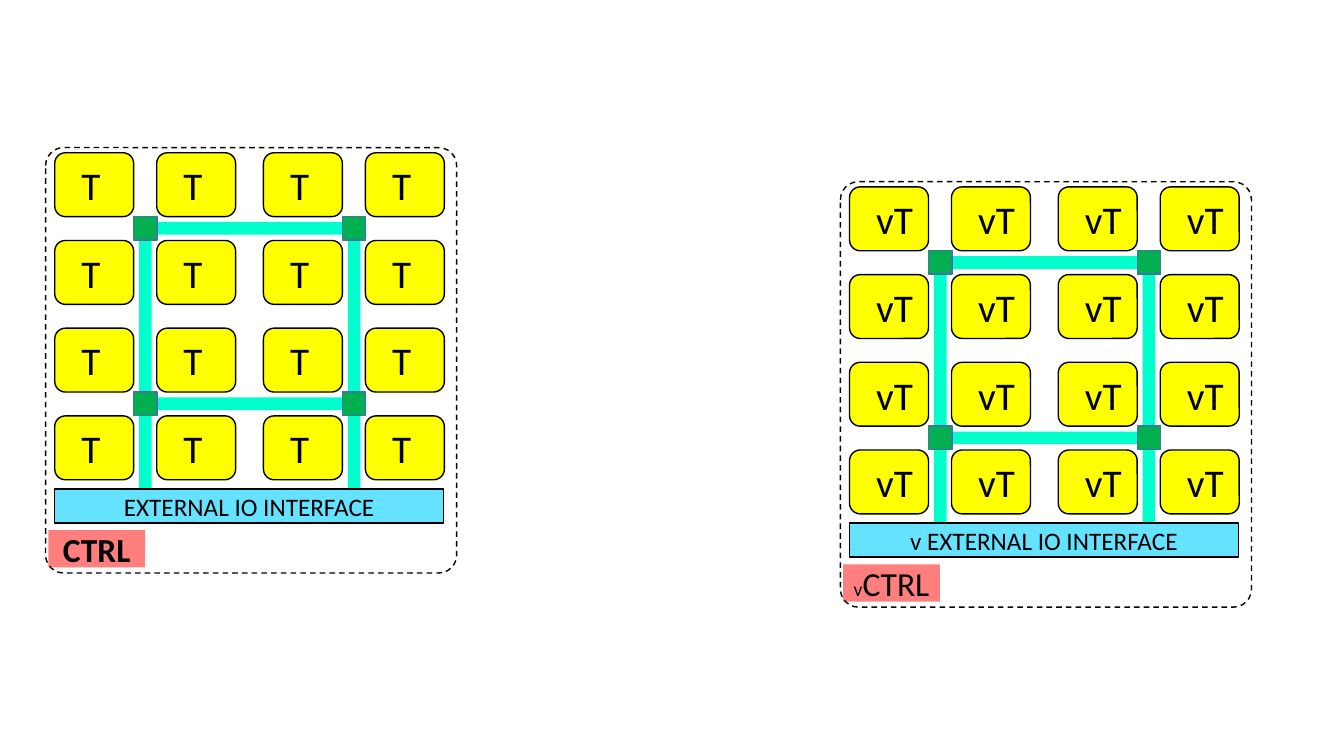
from dataclasses import dataclass
from itertools import product

from lxml.etree import SubElement
from pptx import Presentation
from pptx.dml.color import RGBColor
from pptx.enum.dml import MSO_LINE
from pptx.enum.shapes import MSO_SHAPE
from pptx.enum.text import MSO_ANCHOR, MSO_AUTO_SIZE, PP_ALIGN
from pptx.oxml.ns import qn
from pptx.util import Cm, Pt


@dataclass(frozen=True)
class Theme:
    font: str = "Calibri"
    ink: str = "000000"
    link: str = "00FFCC"
    tile: str = "FFFF00"
    router: str = "00B050"
    router_line: str = "43739E"
    interface: str = "65E2FF"
    control: str = "FF0000"
    tile_size: int = 28
    control_size: int = 24
    interface_size: int = 18
    prefix_size: int = 14


class ChipDiagram:
    """Draws tiled chips on one slide in a shared style."""

    columns = (0.23, 2.8, 5.49, 8.06)
    row_top, row_pitch = 0.13, 2.21
    router_columns = (2.22, 7.48)
    router_rows = (1.74, 6.16)
    router_side = 0.59
    link_width = 0.32
    link_inset = 0.2

    def __init__(self, slide, theme):
        self.slide = slide
        self.theme = theme
        self.shapes = slide.shapes
        self.left = self.top = 0

    def place(self, x, y, width, height):
        return Cm(self.left + x), Cm(self.top + y), Cm(width), Cm(height)

    def box(self, x, y, width, height, fill=None, line=None, kind=MSO_SHAPE.RECTANGLE):
        shape = self.shapes.add_shape(kind, *self.place(x, y, width, height))
        shape.shadow.inherit = False
        if fill:
            shape.fill.solid()
            shape.fill.fore_color.rgb = RGBColor.from_string(fill)
        else:
            shape.fill.background()
        if line:
            shape.line.color.rgb = RGBColor.from_string(line)
            shape.line.width = Pt(1)
        else:
            shape.line.fill.background()
        return shape

    def add_text(self, shape, runs, bold=False, align=PP_ALIGN.CENTER):
        paragraph = shape.text_frame.paragraphs[0]
        paragraph.alignment = align
        for text, size in runs:
            run = paragraph.add_run()
            run.text = text
            run.font.name = self.theme.font
            run.font.size = Pt(size)
            run.font.bold = bold
            run.font.color.rgb = RGBColor.from_string(self.theme.ink)

    def links(self):
        half = (self.router_side - self.link_width) / 2
        start = self.router_side / 2 + self.link_inset
        for x in reversed(self.router_columns):
            self.box(x + half, self.router_rows[0] + start, self.link_width, 6.5, self.theme.link)
        for y in self.router_rows:
            self.box(self.router_columns[0] + start, y + half, 4.95, self.link_width, self.theme.link)

    def tile(self, x, y, label, label_width):
        self.box(x, y, 1.99, 1.61, self.theme.tile, self.theme.ink, MSO_SHAPE.ROUNDED_RECTANGLE)
        text_box = self.shapes.add_textbox(*self.place(x + 0.42, y + 0.09, label_width, 1.45))
        text_box.text_frame.word_wrap = False
        text_box.text_frame.auto_size = MSO_AUTO_SIZE.SHAPE_TO_FIT_TEXT
        self.add_text(text_box, [(label, self.theme.tile_size)], align=PP_ALIGN.LEFT)

    def router(self, x, y):
        self.box(x, y, self.router_side, self.router_side, self.theme.router, self.theme.router_line)

    def interface(self, label):
        shape = self.box(0.23, 8.6, 9.8, 0.86, self.theme.interface, self.theme.ink)
        shape.text_frame.vertical_anchor = MSO_ANCHOR.MIDDLE
        self.add_text(shape, [(label, self.theme.interface_size)])

    def control(self, runs, bold):
        shape = self.box(0.07, 9.64, 2.44, 0.94, self.theme.control)
        color = shape.element.spPr.find(qn("a:solidFill"))[0]
        SubElement(color, qn("a:alpha"), val="50000")
        shape.text_frame.vertical_anchor = MSO_ANCHOR.MIDDLE
        self.add_text(shape, runs, bold)

    def frame(self):
        shape = self.box(0, 0, 10.36, 10.72, line=self.theme.ink, kind=MSO_SHAPE.ROUNDED_RECTANGLE)
        shape.adjustments[0] = 0.044
        shape.line.dash_style = MSO_LINE.DASH

    def chip(self, left, top, tile_label, label_width, interface_label, control_runs, control_bold):
        self.left, self.top = left, top
        self.shapes = self.slide.shapes.add_group_shape().shapes
        self.links()
        for row, x in product(range(4), self.columns):
            self.tile(x, self.row_top + row * self.row_pitch, tile_label, label_width)
        for y, x in product(self.router_rows, self.router_columns):
            self.router(x, y)
        self.interface(interface_label)
        self.control(control_runs, control_bold)
        self.frame()


def main():
    presentation = Presentation()
    presentation.slide_width = Cm(33.87)
    presentation.slide_height = Cm(19.05)
    slide = presentation.slides.add_slide(presentation.slide_layouts[6])
    theme = Theme()
    diagram = ChipDiagram(slide, theme)
    control = ("CTRL", theme.control_size)
    diagram.chip(1.15, 3.72, "T", 0.99, "EXTERNAL IO INTERFACE", [control], True)
    diagram.chip(21.18, 4.58, "vT", 1.45, "v EXTERNAL IO INTERFACE",
                 [("v", theme.prefix_size), control], False)
    presentation.save("out.pptx")


if __name__ == "__main__":
    main()
